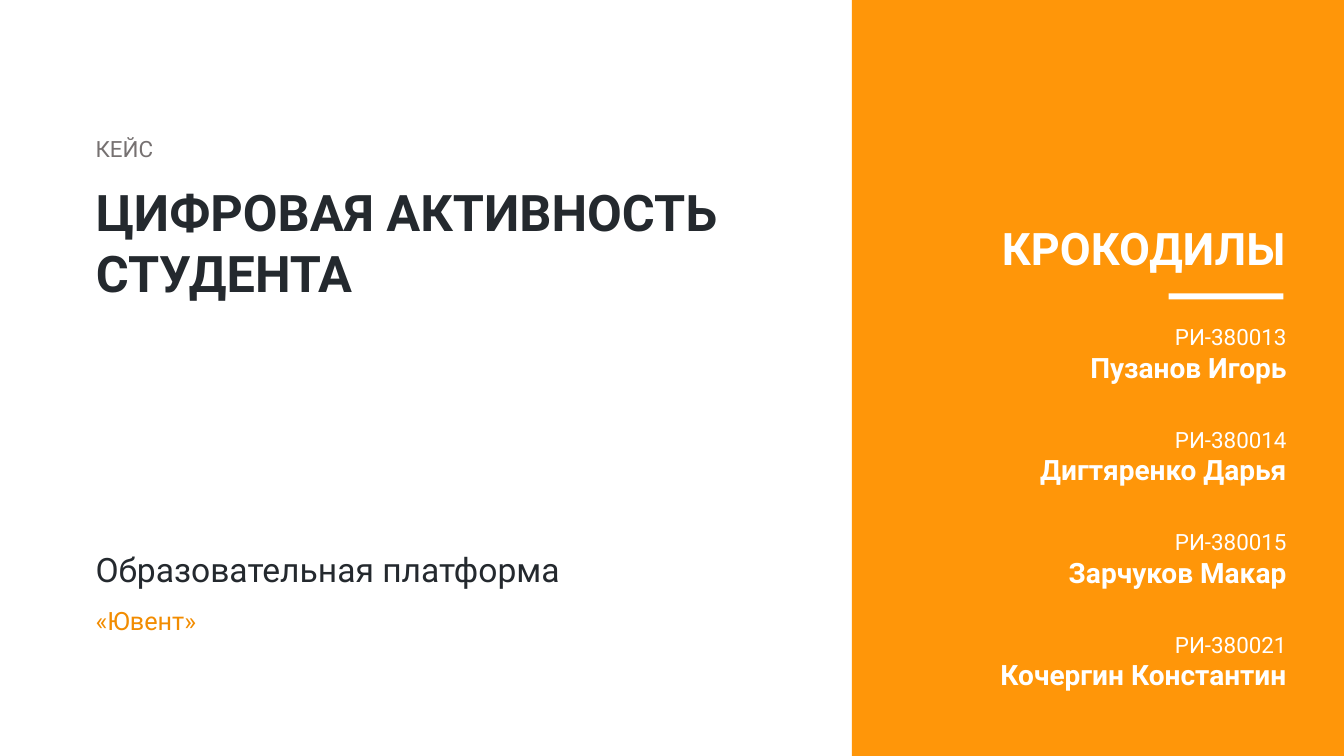
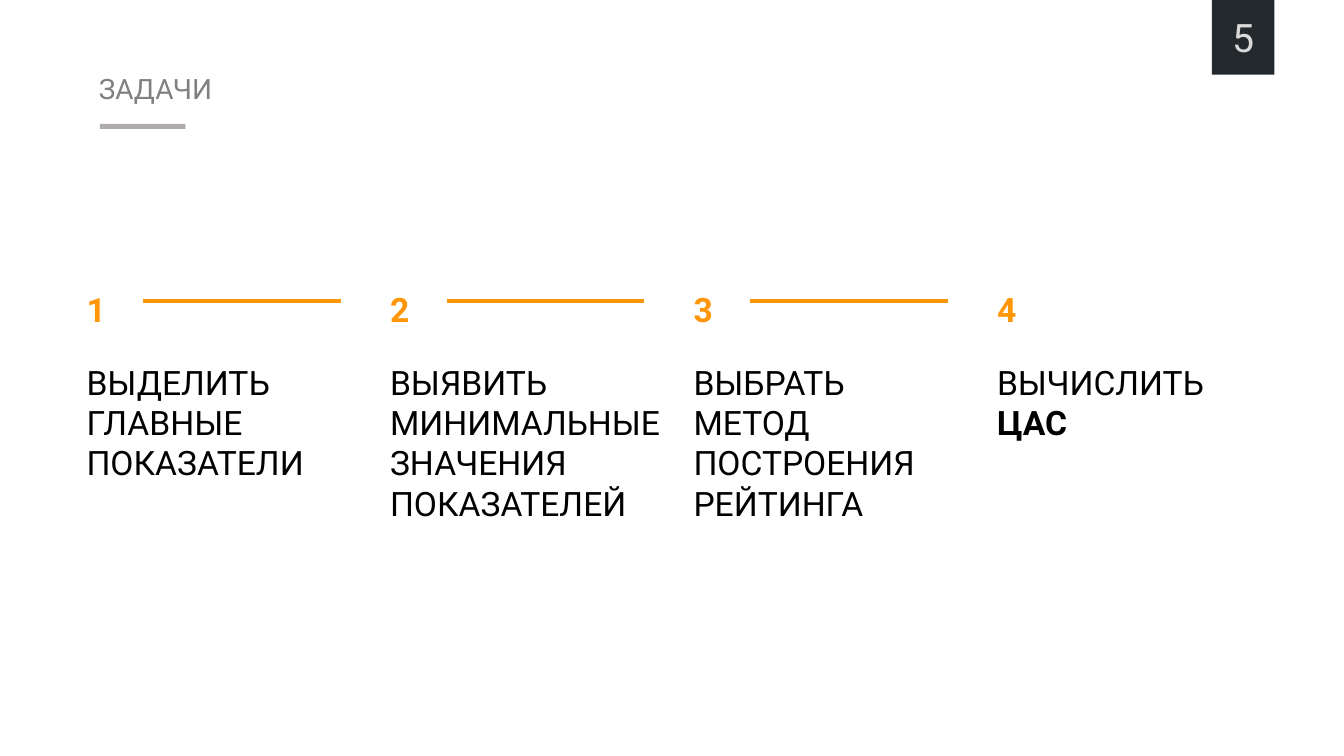
"""Builds a case cover slide and a slide of four tasks."""
from lxml import etree
from pptx import Presentation
from pptx.dml.color import RGBColor
from pptx.enum.shapes import MSO_CONNECTOR, MSO_SHAPE
from pptx.enum.text import MSO_ANCHOR, MSO_AUTO_SIZE, PP_ALIGN
from pptx.oxml.ns import qn
from pptx.util import Inches, Pt

LEFT, CENTER, RIGHT = PP_ALIGN.LEFT, PP_ALIGN.CENTER, PP_ALIGN.RIGHT
TOP, MIDDLE = MSO_ANCHOR.TOP, MSO_ANCHOR.MIDDLE
NO_FIT = MSO_AUTO_SIZE.NONE
RECTANGLE, STRAIGHT = MSO_SHAPE.RECTANGLE, MSO_CONNECTOR.STRAIGHT

FONT = "Roboto"
ORANGE, DARK_ORANGE, DARK = "FF9609", "F28C00", "24292E"
WHITE, BLACK = "FFFFFF", "000000"
GRAY, WARM_GRAY, RULE_GRAY, PALE_GRAY = "808080", "767171", "AFABAB", "D9D9D9"

CASE_LABEL = "КЕЙС"
CASE_TITLE = "ЦИФРОВАЯ АКТИВНОСТЬ СТУДЕНТА"
CLIENT_KIND, CLIENT_NAME = "Образовательная платформа", "«Ювент»"
TEAM = "КРОКОДИЛЫ"
MEMBERS = [
    ("РИ-380013", "Пузанов Игорь"),
    ("РИ-380014", "Дигтяренко Дарья"),
    ("РИ-380015", "Зарчуков Макар"),
    ("РИ-380021", "Кочергин Константин"),
]
TASKS_TITLE, TASKS_PAGE = "ЗАДАЧИ", "5"
TASKS = [
    [("ВЫДЕЛИТЬ ГЛАВНЫЕ ПОКАЗАТЕЛИ", False)],
    [("ВЫЯВИТЬ МИНИМАЛЬНЫЕ ЗНАЧЕНИЯ ПОКАЗАТЕЛЕЙ", False)],
    [("ВЫБРАТЬ", False), ("МЕТОД ПОСТРОЕНИЯ РЕЙТИНГА", False)],
    [("ВЫЧИСЛИТЬ", False), ("ЦАС", True)],
]
TASK_LEFT, TASK_TOP, TASK_PITCH = 0.76, 2.82, 3.01
LINE_OFFSET, LINE_LENGTH, LINE_Y = 0.66, 1.96, 2.99


def rgb(value):
    return RGBColor.from_string(value)


def line(text, size, color, bold=False, before=0):
    return text, size, color, bold, before


def write(shape, lines, align=LEFT, anchor=TOP):
    frame = shape.text_frame
    frame.word_wrap = True
    frame.auto_size = NO_FIT
    frame.vertical_anchor = anchor
    for index, (text, size, color, bold, before) in enumerate(lines):
        paragraph = frame.add_paragraph() if index else frame.paragraphs[0]
        if shape.is_placeholder:
            properties = paragraph._p.get_or_add_pPr()
            properties.set("marL", "0")
            properties.set("indent", "0")
            etree.SubElement(properties, qn("a:buNone"))
        paragraph.alignment = align
        paragraph.line_spacing = 1.0
        paragraph.space_before = Pt(before)
        run = paragraph.add_run()
        run.text = text
        run.font.name = FONT
        run.font.size = Pt(size)
        run.font.bold = bold
        run.font.color.rgb = rgb(color)
    return frame


def place(shape, *box):
    shape.left, shape.top, shape.width, shape.height = map(Inches, box)
    return shape


def add_text(slide, box, lines, align=LEFT):
    return write(slide.shapes.add_textbox(*map(Inches, box)), lines, align)


def add_band(slide, box, color):
    band = slide.shapes.add_shape(RECTANGLE, *map(Inches, box))
    band.shadow.inherit = False
    band.fill.solid()
    band.fill.fore_color.rgb = rgb(color)
    band.line.fill.background()
    return band


def add_line(slide, left, y, length, color):
    ends = map(Inches, (left, y, left + length, y))
    connector = slide.shapes.add_connector(STRAIGHT, *ends)
    connector.line.color.rgb = rgb(color)
    connector.line.width = Pt(3)
    etree.SubElement(connector._element.spPr, qn("a:effectLst"))


def build_cover(deck):
    slide = deck.slides.add_slide(deck.slide_layouts[1])
    panel = add_band(slide, (8.45, 0, 4.89, 7.5), ORANGE)
    slide.shapes._spTree.insert(2, panel._element)
    write(place(slide.shapes.title, 0.85, 1.75, 6.67, 1.31),
          [line(CASE_TITLE, 36, DARK, True)])
    add_text(slide, (0.85, 1.29, 1.11, 0.37), [line(CASE_LABEL, 16, WARM_GRAY)])
    add_text(slide, (0.85, 5.4, 6.33, 1.03),
             [line(CLIENT_KIND, 24, DARK),
              line(CLIENT_NAME, 18, DARK_ORANGE, before=11)])
    add_text(slide, (9.52, 2.14, 3.33, 0.64), [line(TEAM, 32, WHITE, True)], RIGHT)
    add_band(slide, (11.59, 2.91, 1.14, 0.06), WHITE)
    roster = []
    for index, (group, name) in enumerate(MEMBERS):
        roster.append(line(group, 16, WHITE, before=30 if index else 0))
        roster.append(line(name, 20, WHITE, True))
    write(place(slide.placeholders[1], 8.72, 3.16, 4.14, 3.84), roster, RIGHT)


def build_tasks(deck):
    slide = deck.slides.add_slide(deck.slide_layouts[5])
    write(place(slide.shapes.title, 0.88, 0.66, 3.16, 0.44),
          [line(TASKS_TITLE, 20, GRAY)])
    add_band(slide, (0.99, 1.23, 0.85, 0.05), RULE_GRAY)
    page_tab = add_band(slide, (12.02, 0, 0.62, 0.74), DARK)
    write(page_tab, [line(TASKS_PAGE, 28, PALE_GRAY)], CENTER, MIDDLE)
    for index, task in enumerate(TASKS):
        left = TASK_LEFT + index * TASK_PITCH
        lines = [line(str(index + 1), 24, ORANGE, True)]
        for row, (text, bold) in enumerate(task):
            lines.append(line(text, 24, BLACK, bold, 0 if row else 23))
        frame = add_text(slide, (left, TASK_TOP, TASK_PITCH, 2.5), lines)
        frame.margin_right = 0
        if index < len(TASKS) - 1:
            add_line(slide, left + LINE_OFFSET, LINE_Y, LINE_LENGTH, ORANGE)


def main():
    deck = Presentation()
    deck.slide_width, deck.slide_height = Inches(13.33), Inches(7.5)
    build_cover(deck)
    build_tasks(deck)
    deck.save("out.pptx")


if __name__ == "__main__":
    main()
